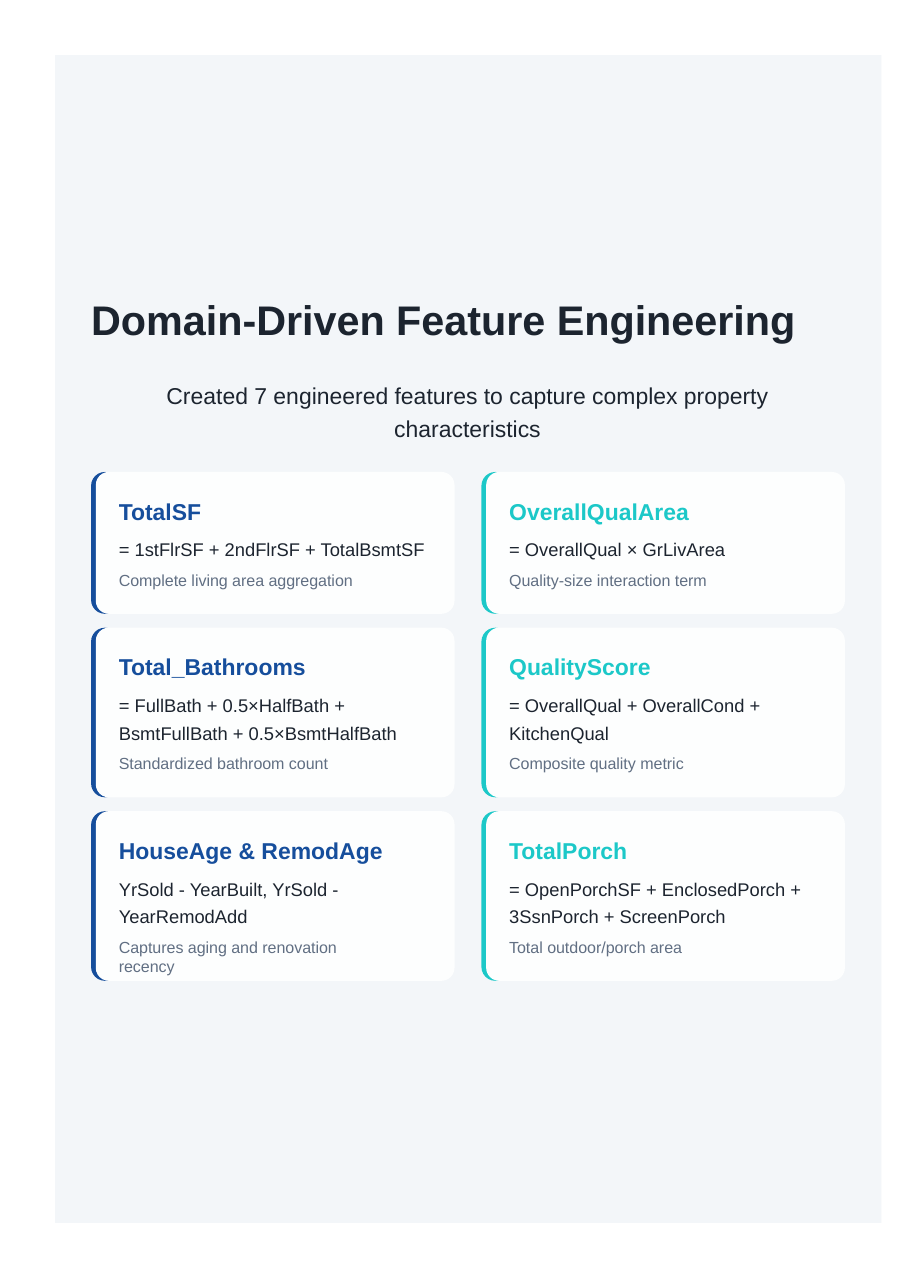
import pptx
import pptx.util
import pptx.dml.color
import pptx.enum.shapes
import pptx.enum.text

Cm = pptx.util.Cm
Pt = pptx.util.Pt
KIND = pptx.enum.shapes.MSO_SHAPE
ALIGN = pptx.enum.text.PP_ALIGN
INK, GREY, BLUE, TEAL = "1C242F", "616F83", "164E9C", "1CC8C8"


def draw(kind, left, top, width, height, tint, round=0):
    shape = slide.shapes.add_shape(kind, Cm(left), Cm(top), Cm(width), Cm(height))
    shape.shadow.inherit = False
    shape.fill.solid()
    shape.fill.fore_color.rgb = pptx.dml.color.RGBColor.from_string(tint)
    shape.line.fill.background()
    if round:
        shape.adjustments[0] = round / min(width, height)
    return shape


def write(box, parts):
    """Fill a box with (words, tint, font values, paragraph values)."""
    frame = box.text_frame
    setup = {"margin_left": 0, "margin_top": 0, "margin_right": 0, "margin_bottom": 0,
             "word_wrap": True, "auto_size": pptx.enum.text.MSO_AUTO_SIZE.NONE,
             "vertical_anchor": pptx.enum.text.MSO_ANCHOR.TOP}
    for key, value in setup.items():
        setattr(frame, key, value)
    for n, (words, tint, face, flow) in enumerate(parts):
        para = frame.add_paragraph() if n else frame.paragraphs[0]
        para.text = words
        para.font.color.rgb = pptx.dml.color.RGBColor.from_string(tint)
        for key, value in {"name": "Arial", **face}.items():
            setattr(para.font, key, value)
        for key, value in {"alignment": ALIGN.LEFT, **flow}.items():
            setattr(para, key, value)


deck = pptx.Presentation()
deck.slide_width, deck.slide_height = Cm(20.98), Cm(29.69)
slide = deck.slides.add_slide(deck.slide_layouts[5])

# Title on a pale panel
title = slide.shapes.title
panel = draw(KIND.RECTANGLE, 1.27, 1.27, 19.05, 26.92, "F3F6F9")
title.element.addprevious(panel.element)
place = {"left": Cm(2.1), "top": Cm(6.77), "width": Cm(16.5), "height": Cm(1.2)}
for key, value in place.items():
    setattr(title, key, value)
write(title, [("Domain-Driven Feature Engineering", INK,
               {"size": Pt(27), "bold": True}, {})])

# Lead line
lead = slide.shapes.add_textbox(Cm(3.81), Cm(8.7), Cm(13.94), Cm(1.55))
write(lead, [("Created 7 engineered features to capture complex property characteristics",
              INK, {"size": Pt(15)}, {"alignment": ALIGN.CENTER, "line_spacing": 1.17})])

# Feature cards: (name, formula, meaning, text width), one pair per row
rows = [
    (3.27, [("TotalSF", "= 1stFlrSF + 2ndFlrSF + TotalBsmtSF",
             "Complete living area aggregation", 7.2),
            ("OverallQualArea", "= OverallQual × GrLivArea",
             "Quality-size interaction term", 7.2)]),
    (3.91, [("Total_Bathrooms", "= FullBath + 0.5×HalfBath + BsmtFullBath + 0.5×BsmtHalfBath",
             "Standardized bathroom count", 7.2),
            ("QualityScore", "= OverallQual + OverallCond + KitchenQual",
             "Composite quality metric", 7.2)]),
    (3.91, [("HouseAge & RemodAge", "YrSold - YearBuilt, YrSold - YearRemodAdd",
             "Captures aging and renovation recency", 6.2),
            ("TotalPorch", "= OpenPorchSF + EnclosedPorch + 3SsnPorch + ScreenPorch",
             "Total outdoor/porch area", 7.2)]),
]
top, gap = 10.88, 0.32
for height, pair in rows:
    for col, (name, sum_of, sense, width) in enumerate(pair):
        left = 2.1 + 9 * col
        tint = (BLUE, TEAL)[col]
        # Accent edge, then the card over it
        draw(KIND.ROUNDED_RECTANGLE, left, top, 0.64, height, tint, 0.32)
        draw(KIND.ROUNDED_RECTANGLE, left + 0.11, top, 8.27, height, "FDFEFE", 0.3)
        text = slide.shapes.add_textbox(Cm(left + 0.64), Cm(top + 0.58),
                                        Cm(width), Cm(height - 0.9))
        write(text, [
            (name, tint, {"size": Pt(15), "bold": True}, {}),
            (sum_of, INK, {"size": Pt(12)}, {"line_spacing": 1.25, "space_before": Pt(5.4)}),
            (sense, GREY, {"size": Pt(10.5)}, {"space_before": Pt(6.6)}),
        ])
    top += height + gap

deck.save("out.pptx")
